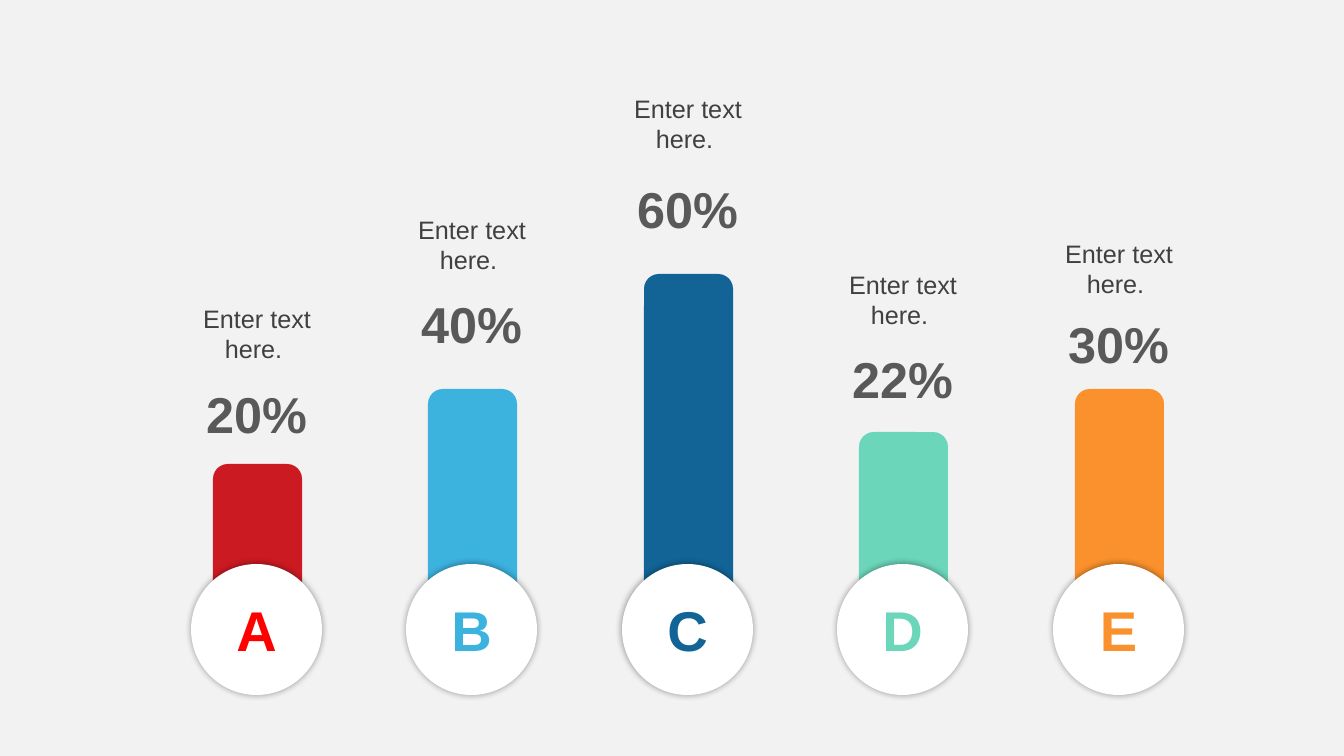
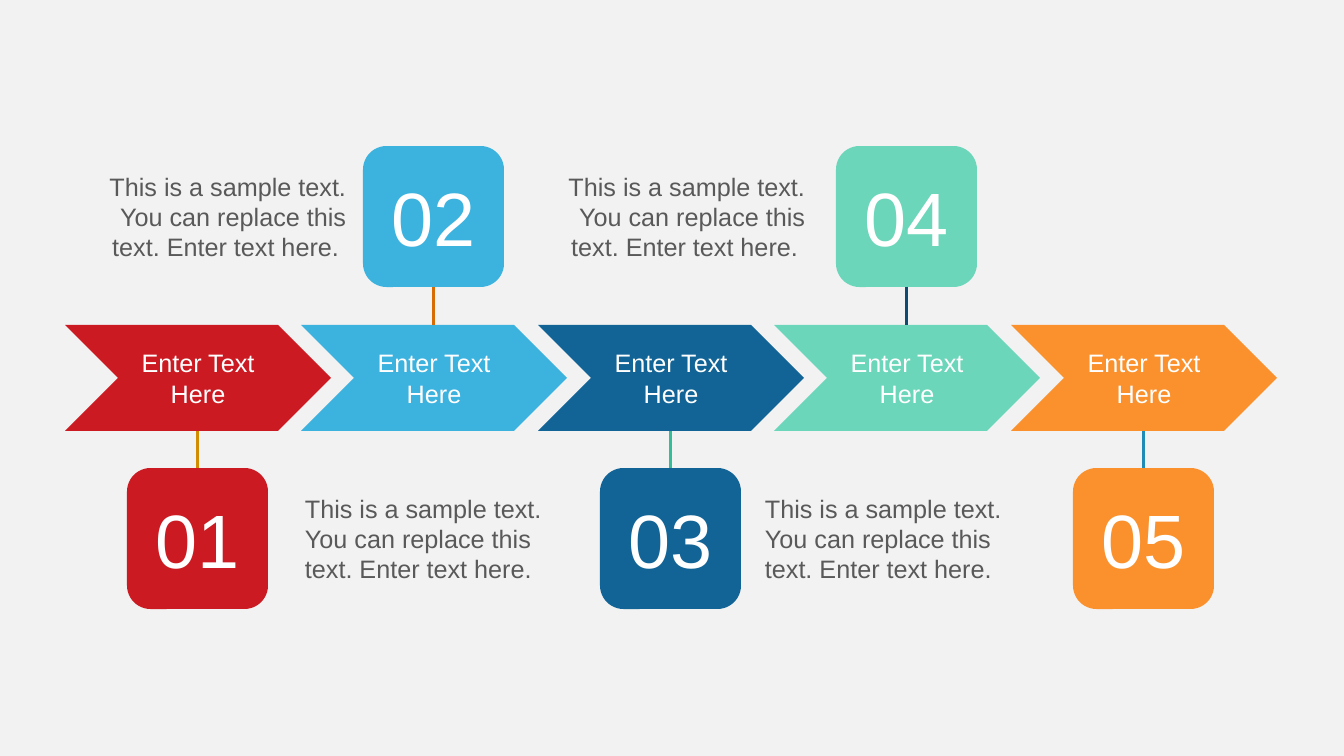
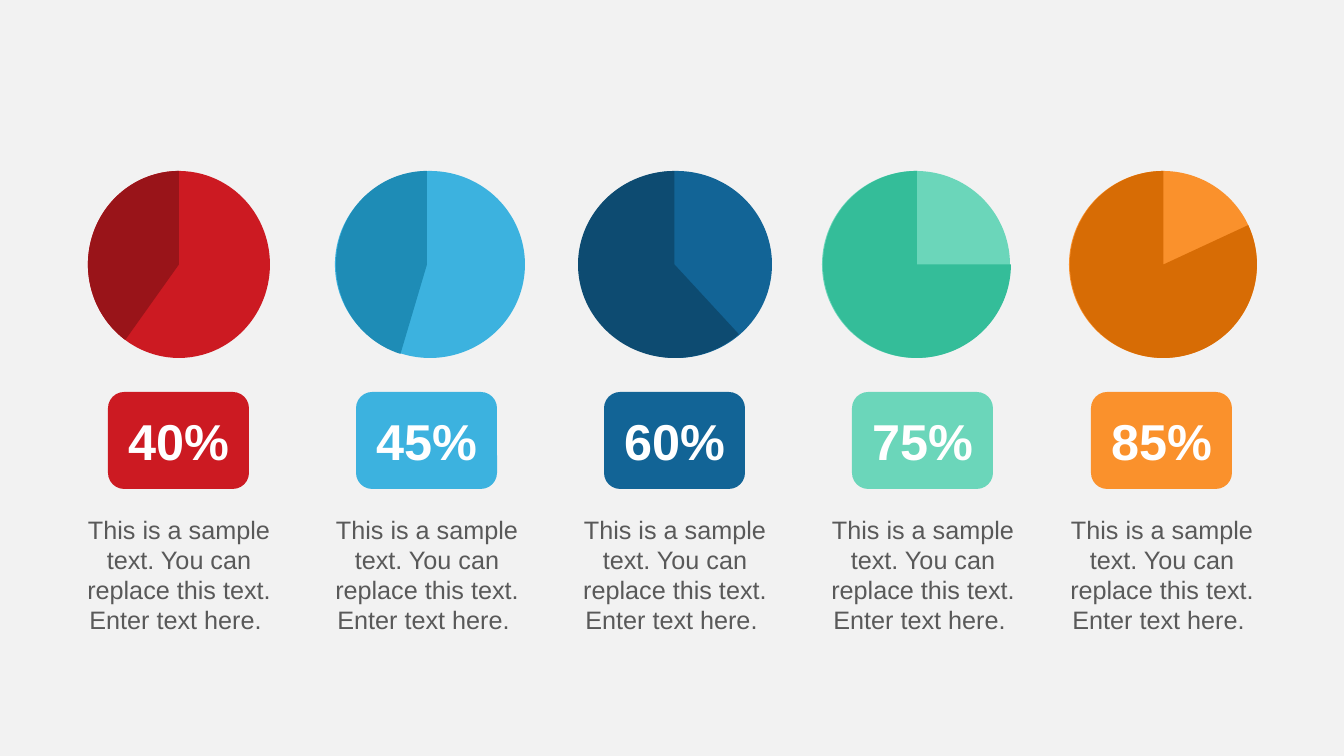
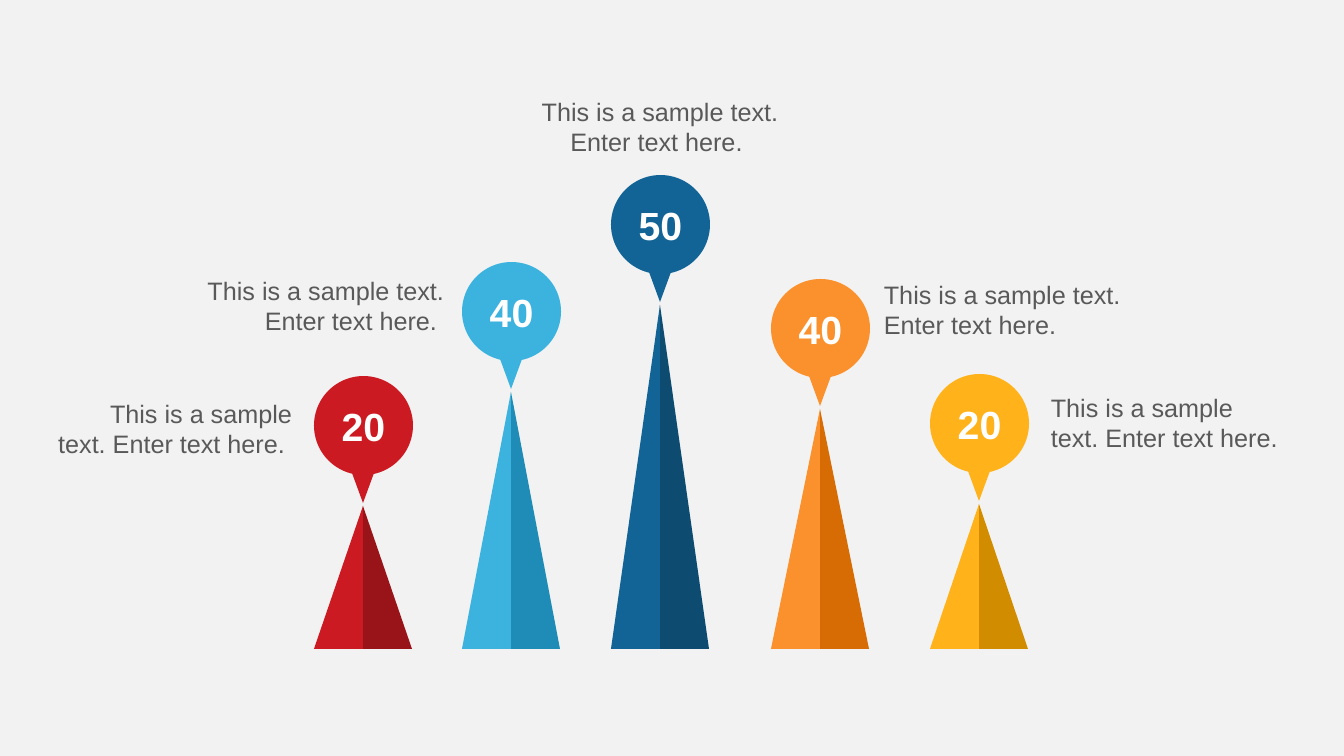
from dataclasses import dataclass

from lxml import etree
from pptx import Presentation
from pptx import util as u
from pptx.dml.color import RGBColor
from pptx.enum import shapes, text
from pptx.oxml import ns

PX = 12192000 / 1344  # EMU in one px
KIND = shapes.MSO_SHAPE
LEFT, CENTER, RIGHT = text.PP_ALIGN.LEFT, text.PP_ALIGN.CENTER, text.PP_ALIGN.RIGHT


@dataclass(frozen=True)
class Theme:
    font: str = "Arial"
    paper: str = "F2F2F2"
    white: str = "FFFFFF"
    gray: str = "595959"
    dark_gray: str = "404040"
    letter_red: str = "FF0000"
    red: str = "CC1A22"
    sky: str = "3CB2DF"
    navy: str = "126496"
    mint: str = "6BD6BA"
    orange: str = "FA912C"
    amber: str = "FFB219"
    deep_red: str = "991419"
    deep_sky: str = "1E8CB6"
    deep_navy: str = "0D4B71"
    deep_mint: str = "34BD99"
    deep_orange: str = "D76C05"
    deep_amber: str = "D28C00"
    body: int = 18
    pin: int = 28
    percent: int = 36
    letter: int = 40
    number: int = 54


theme = Theme()


def place(parent, kind, left, top, width, height, fill=None):
    """Add a filled preset shape, or a text box when kind is None; lengths in px."""
    frame = [round(length * PX) for length in (left, top, width, height)]
    if kind is None:
        box = parent.shapes.add_textbox(*frame)
        box.text_frame.auto_size = text.MSO_AUTO_SIZE.SHAPE_TO_FIT_TEXT
        return box
    box = parent.shapes.add_shape(kind, *frame)
    box.shadow.inherit = False
    box.fill.solid()
    box.fill.fore_color.rgb = RGBColor.from_string(fill)
    box.line.fill.background()
    return box


def write(box, words, size, color, bold=False, align=CENTER):
    box.text_frame.word_wrap = True
    para = box.text_frame.paragraphs[0]
    para.alignment = align
    span = para.add_run()
    span.text = words
    span.font.name = theme.font
    span.font.size = u.Pt(size)
    span.font.bold = bold
    span.font.color.rgb = RGBColor.from_string(color)


deck = Presentation()
deck.slide_width, deck.slide_height = round(1344 * PX), round(756 * PX)
background = deck.slide_master.background.fill
background.solid()
background.fore_color.rgb = RGBColor.from_string(theme.paper)
blank = deck.slide_layouts[6]

# Slide 1: lettered columns
page = deck.slides.add_slide(blank)
columns = [
    # letter, letter colour, bar colour, percent, bar top, percent top, caption top
    ("A", theme.letter_red, theme.red, "20%", 464, 378, 298),
    ("B", theme.sky, theme.sky, "40%", 389, 288, 209),
    ("C", theme.navy, theme.navy, "60%", 274, 173, 88),
    ("D", theme.mint, theme.mint, "22%", 432, 343, 264),
    ("E", theme.orange, theme.orange, "30%", 389, 308, 233),
]
for i, (letter, ink, fill, percent, bar_top, percent_top, caption_top) in enumerate(columns):
    middle = 257 + 431 * i // 2
    place(page, KIND.ROUNDED_RECTANGLE, middle - 44, bar_top, 89, 630 - bar_top, fill)
    disc = place(page, KIND.OVAL, middle - 66, 564, 131, 131, theme.white)
    write(disc, letter, theme.letter, ink, bold=True)
    effects = disc._element.spPr.find(ns.qn("a:effectLst"))
    shadow = etree.SubElement(effects, ns.qn("a:outerShdw"), blurRad=str(u.Pt(5)), dist="0",
                              dir="0", algn="ctr", rotWithShape="0")
    shade = etree.SubElement(shadow, ns.qn("a:srgbClr"), val="000000")
    etree.SubElement(shade, ns.qn("a:alpha"), val="40000")
    write(place(page, None, middle - 103, percent_top, 205, 72),
          percent, theme.percent, theme.gray, bold=True)
    write(place(page, None, middle - 88, caption_top, 176, 72),
          "Enter text here. ", theme.body, theme.dark_gray)

# Slide 2: chevron process
page = deck.slides.add_slide(blank)
steps = [
    (theme.red, theme.deep_amber),
    (theme.sky, theme.deep_orange),
    (theme.navy, theme.deep_mint),
    (theme.mint, theme.deep_navy),
    (theme.orange, theme.deep_sky),
]
for i, (fill, line_color) in enumerate(steps):
    left = 65 + 473 * i // 2
    above = i % 2 == 1
    chevron = place(page, KIND.CHEVRON, left, 325, 266, 106, fill)
    write(chevron, "Enter Text Here", theme.body, theme.white)
    number = place(page, KIND.ROUNDED_RECTANGLE, left + 62, 146 if above else 468, 141, 141, fill)
    write(number, f"{i + 1:02}", theme.number, theme.white)
    middle = number.left + number.width // 2
    edge = chevron.top if above else chevron.top + chevron.height
    link = page.shapes.add_connector(shapes.MSO_CONNECTOR.STRAIGHT, middle, edge, middle, edge)
    link.begin_connect(number, 2 if above else 0)
    link.line.color.rgb = RGBColor.from_string(line_color)
    link.line.width = u.Pt(1.5)
    etree.SubElement(link._element.spPr, ns.qn("a:effectLst"))

sample = "This is a sample text. You can replace this text. Enter text here."
for left, top, align, words in [
    (95, 166, RIGHT, sample + " "),
    (554, 166, RIGHT, sample + " "),
    (295, 488, LEFT, sample),
    (755, 488, LEFT, sample),
]:
    write(place(page, None, left, top, 261, 102), words, theme.body, theme.gray, align=align)

# Slide 3: pies
page = deck.slides.add_slide(blank)
pies = [
    # percent, middle, disc left and width, slice left and width, start angle, colours
    ("40%", 179, 88, 182, 88, 182, 125.4, theme.red, theme.deep_red),
    ("45%", 427, 335, 190, 336, 182, 106.5, theme.sky, theme.deep_sky),
    ("60%", 675, 581, 191, 578, 193, 47.3, theme.navy, theme.deep_navy),
    ("75%", 923, 822, 188, 823, 188, 359.9, theme.mint, theme.deep_mint),
    ("85%", 1162, 1069, 188, 1070, 187, 335.1, theme.orange, theme.deep_orange),
]
for percent, middle, disc_left, disc_width, slice_left, slice_width, start, fill, deep in pies:
    place(page, KIND.OVAL, disc_left, 171, disc_width, 187, fill)
    wedge = place(page, KIND.PIE, slice_left, 171, slice_width, 187, deep)
    for j, degrees in enumerate((start, 270)):
        wedge.adjustments[j] = degrees * 0.6  # 60000 units a degree, 100000 to the whole
    badge = place(page, KIND.ROUNDED_RECTANGLE, middle - 71, 392, 141, 97, fill)
    write(badge, percent, theme.percent, theme.white, bold=True)
    write(place(page, None, middle - 109, 509, 218, 132), sample + " ", theme.body, theme.gray)

# Slide 4: cones with pins
page = deck.slides.add_slide(blank)
short_sample = "This is a sample text. Enter text here."
cones = [
    # value, middle, pin top, colours, caption left, top, width, alignment
    ("20", 363, 376, theme.red, theme.deep_red, 48, 393, 254, RIGHT),
    ("40", 511, 262, theme.sky, theme.deep_sky, 156, 270, 298, RIGHT),
    ("50", 660, 175, theme.navy, theme.deep_navy, 511, 91, 298, CENTER),
    ("40", 820, 279, theme.orange, theme.deep_orange, 874, 274, 298, LEFT),
    ("20", 979, 374, theme.amber, theme.deep_amber, 1041, 387, 254, LEFT),
]
for value, middle, pin_top, fill, deep, left, top, width, align in cones:
    cone = page.shapes.add_group_shape()
    apex = pin_top + 130
    place(cone, KIND.RIGHT_TRIANGLE, middle, apex, 49, 649 - apex, deep)
    lit_side = place(cone, KIND.RIGHT_TRIANGLE, middle - 49, apex, 49, 649 - apex, fill)
    lit_side._element.spPr.find(ns.qn("a:xfrm")).set("flipH", "1")

    pin = page.shapes.add_group_shape()
    tip = place(pin, KIND.ISOSCELES_TRIANGLE, middle - 11, pin_top + 97, 22, 30, fill)
    tip.rotation = 180
    head = place(pin, KIND.OVAL, middle - 49, pin_top, 99, 99, fill)
    write(head, value, theme.pin, theme.white, bold=True)

    words = short_sample if align == LEFT else short_sample + " "
    write(place(page, None, left, top, width, 72), words, theme.body, theme.gray, align=align)

deck.save("out.pptx")
